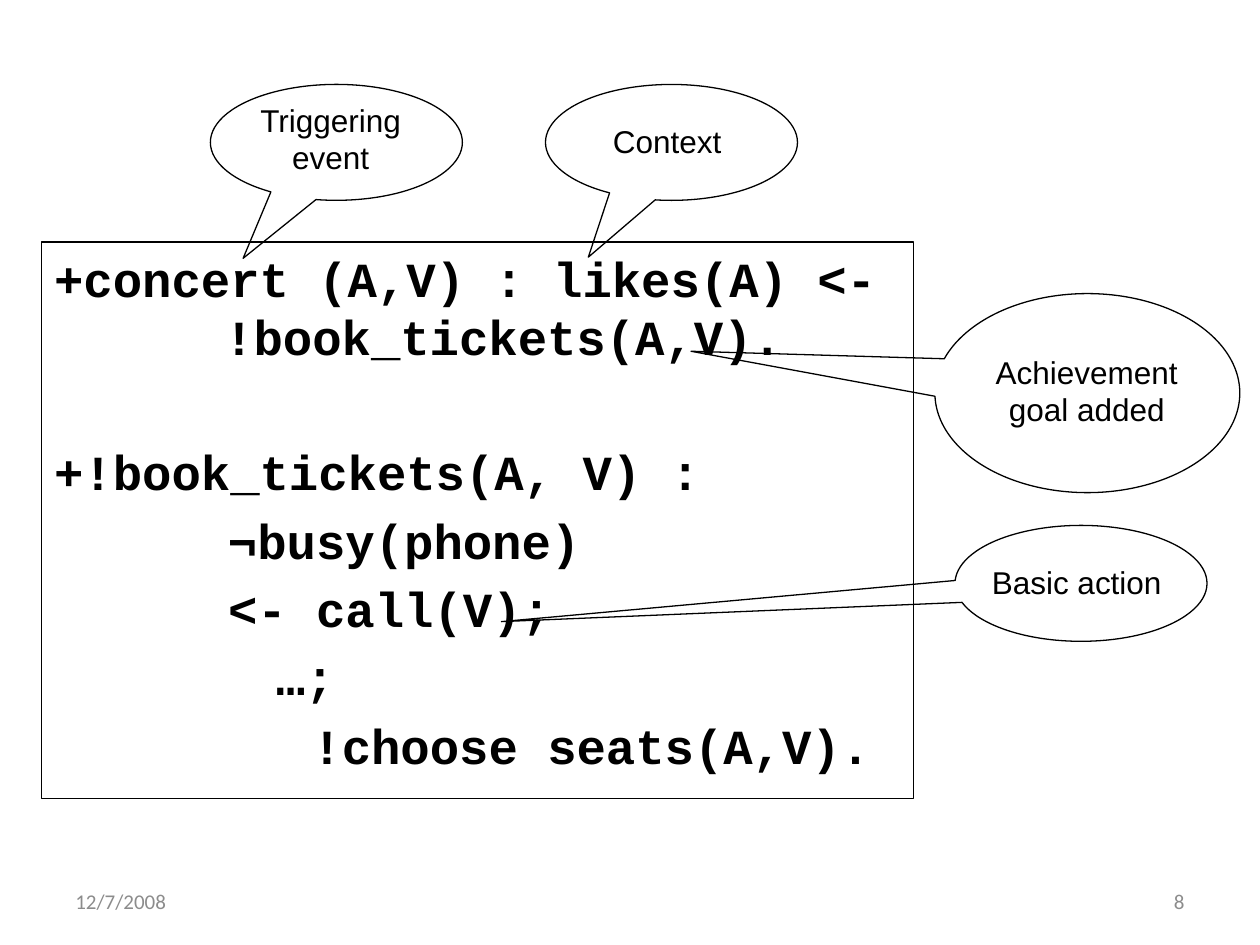
from lxml.etree import SubElement
from pptx import Presentation
from pptx.dml.color import RGBColor
from pptx.enum.shapes import MSO_SHAPE
from pptx.enum.text import MSO_ANCHOR, MSO_AUTO_SIZE, PP_ALIGN
from pptx.oxml.ns import qn
from pptx.util import Inches, Pt

BLACK = RGBColor(0x00, 0x00, 0x00)
GRAY = RGBColor(0x8C, 0x8C, 0x8C)

CODE_FONT = {"name": "Courier New", "size": Pt(28), "bold": True}
LABEL_FONT = {"name": "Arial", "size": Pt(18)}
FOOTER_FONT = {"name": "Calibri", "size": Pt(12)}

CODE = [
    ("+concert (A,V) : likes(A) <- !book_tickets(A,V).", 1.35, -1.35, 5.6),
    ("+!book_tickets(A, V) :", 0, 0, 43.6),
    ("¬busy(phone)", 1.38, 0, 5.6),
    ("<- call(V);", 1.38, 0, 5.6),
    ("…;", 1.76, 0, 5.6),
    ("!choose seats(A,V).", 2.05, 0, 5.6),
]

CALLOUTS = [
    ((1.67, 0.67, 2, 0.92), (-0.37, 1), (0.08, 0.08, 0.7), "Triggering event"),
    ((4.33, 0.67, 2, 0.92), (-0.33, 0.99), (0.09, 0.25, 0.4), "Context"),
    ((7.42, 2.33, 2.42, 1.58), (-1.3, -0.21), (0.33, 0.42, 0.7), "Achievement goal added"),
    ((7.58, 4.17, 2, 0.92), (-2.3, 0.33), (0.09, 0.25, 0.4), "Basic action"),
]


def add_run(p, text, font, color):
    r = p.add_run()
    r.text = text
    for key, value in font.items():
        setattr(r.font, key, value)
    r.font.color.rgb = color
    return r


def outline(sp):
    sp.line.color.rgb = BLACK
    sp.line.width = Pt(0.75)


def place(sp, box):
    for key, value in zip(("left", "top", "width", "height"), box):
        setattr(sp, key, Inches(value))


def add_code(s, box):
    sp = s.placeholders[1]
    place(sp, box)
    outline(sp)
    tf = sp.text_frame
    tf.auto_size = MSO_AUTO_SIZE.NONE
    for i, (text, margin, indent, before) in enumerate(CODE):
        p = tf.paragraphs[0] if i == 0 else tf.add_paragraph()
        p.line_spacing = Pt(33.5)
        p.space_before = Pt(before)
        pPr = p._p.get_or_add_pPr()
        pPr.set("marL", str(Inches(margin)))
        pPr.set("indent", str(Inches(indent)))
        SubElement(pPr, qn("a:buNone"))
        if text.startswith("¬"):
            add_run(p, "¬", CODE_FONT, BLACK).font.italic = True
            text = text[1:]
        add_run(p, text, CODE_FONT, BLACK)


def add_text(shapes, box, text, font, color, align):
    sp = shapes.add_textbox(*map(Inches, box))
    tf = sp.text_frame
    tf.word_wrap = True
    p = tf.paragraphs[0]
    p.alignment = align
    add_run(p, text, font, color)
    return tf


def add_callout(s, box, tip, label, text):
    x, y, w, h = box
    dx, dy, label_h = label
    group = s.shapes.add_group_shape()
    sp = group.shapes.add_shape(MSO_SHAPE.OVAL_CALLOUT, *map(Inches, box))
    sp.adjustments[0], sp.adjustments[1] = tip
    sp.shadow.inherit = False
    sp.fill.background()
    outline(sp)
    add_text(group.shapes, (x + dx, y + dy, 1.75, label_h), text,
             LABEL_FONT, BLACK, PP_ALIGN.CENTER)


def add_footer(s, box, date, number):
    x, y, w, h = box
    cell = 2.33
    for left, text, align in ((x, date, PP_ALIGN.LEFT),
                              (x + w - cell, number, PP_ALIGN.RIGHT)):
        tf = add_text(s.shapes, (left, y, cell, h), text, FOOTER_FONT, GRAY, align)
        tf.vertical_anchor = MSO_ANCHOR.MIDDLE


prs = Presentation()
prs.slide_width, prs.slide_height = Inches(10), Inches(7.5)
s = prs.slides.add_slide(prs.slide_layouts[1])
title = s.shapes.title._element
title.getparent().remove(title)
add_code(s, (0.33, 1.92, 6.92, 4.42))
add_footer(s, (0.5, 6.95, 9, 0.4), "12/7/2008", "8")
for callout in CALLOUTS:
    add_callout(s, *callout)
prs.save("out.pptx")
